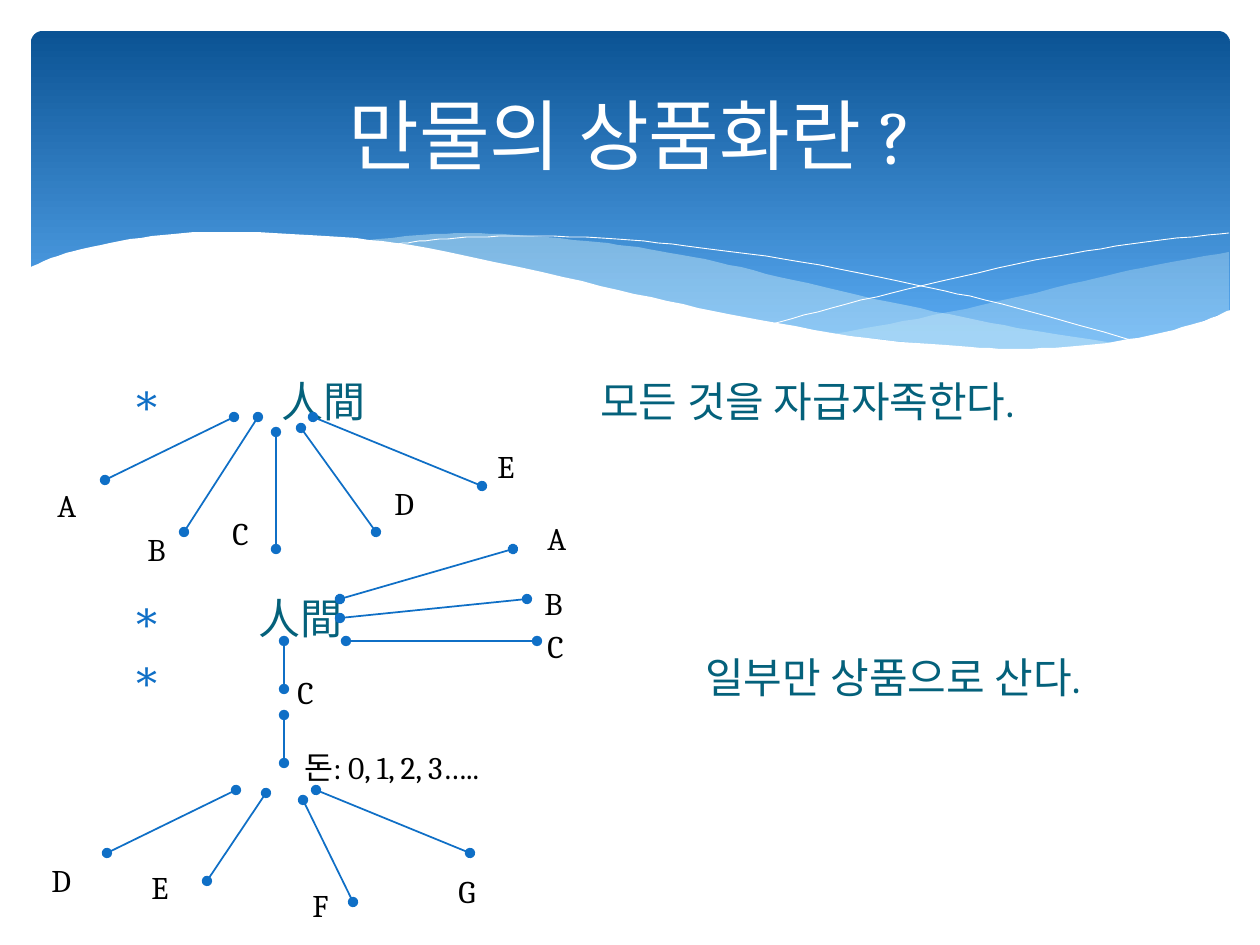
"""Build the slide on the commodification of all things."""
import pptx
import pptx.dml.color
import pptx.enum.shapes
import pptx.enum.text
import pptx.oxml
import pptx.oxml.ns
import pptx.util
import lxml.etree

RGB = pptx.dml.color.RGBColor
WHITE = RGB(0xFF, 0xFF, 0xFF)
BLACK = RGB(0, 0, 0)
NAVY = RGB(0x0B, 0x53, 0x94)
SKY = RGB(0x59, 0xAA, 0xF2)
PALE = RGB(0xDB, 0xF5, 0xF9)
BLUE = RGB(0x0F, 0x6F, 0xC6)
TEAL = RGB(0x04, 0x61, 0x7B)
FONT = "Cambria"
PX = 9144000 / 1260
qn = pptx.oxml.ns.qn


def spline(keys, steps=6):
    """Return points on a smooth curve through the keys."""
    k = [keys[0], *keys, keys[-1]]
    pts = [keys[0]]
    for a, b, c, d in zip(k, k[1:], k[2:], k[3:]):
        for i in range(1, steps + 1):
            t = i / steps
            pts.append(tuple(
                (2 * q + (r - p) * t + (2 * p - 5 * q + 4 * r - s) * t ** 2
                 + (3 * q - p - 3 * r + s) * t ** 3) / 2
                for p, q, r, s in zip(a, b, c, d)))
    return pts


def add_run(p, text, size, color):
    """Add one formatted run to a paragraph."""
    r = p.add_run()
    r.text = text
    r.font.size = pptx.util.Pt(size)
    r.font.name = FONT
    r.font.color.rgb = color


prs = pptx.Presentation()
prs.slide_width = pptx.util.Inches(10)
prs.slide_height = pptx.util.Inches(7.5)
s = prs.slides.add_slide(prs.slide_layouts[5])

banner = s.shapes.add_shape(pptx.enum.shapes.MSO_SHAPE.ROUNDED_RECTANGLE,
                            *[round(v * PX) for v in (31, 31, 1199, 341)])
banner.adjustments[0] = 0.034
banner.shadow.inherit = False
banner.line.fill.background()
banner.fill.gradient()
banner.fill.gradient_angle = 270
for stop, color, pos in zip(banner.fill.gradient_stops, (NAVY, SKY), (0, 0.9)):
    stop.color.rgb = color
    stop.position = pos

right_wave = (
    spline([(1229, 252), (1142, 268), (1085, 281), (982, 305), (890, 324), (833, 334)])
    + spline([(833, 334), (906, 342), (969, 348), (1026, 350), (1087, 347),
              (1140, 339), (1187, 327), (1229, 311)]))
left_wave = (
    spline([(1125, 344), (1055, 334), (977, 320), (890, 302), (793, 280), (717, 262),
            (648, 249), (586, 241), (503, 234), (433, 234), (360, 241)])
    + spline([(360, 241), (431, 251), (509, 266), (566, 280), (668, 302), (757, 321),
              (838, 335), (910, 345), (974, 349), (1031, 350), (1080, 349), (1125, 344)]))
falling_line = spline([(389, 246), (413, 242), (457, 238), (524, 236), (616, 239),
                       (701, 248), (801, 262), (916, 285), (1002, 304), (1143, 343)])
rising_line = spline([(772, 324), (847, 304), (942, 281), (1053, 257), (1146, 242),
                      (1229, 233)])
white_wave = spline([(29, 268), (66, 253), (120, 241), (184, 233), (243, 232), (341, 237),
                     (428, 248), (563, 277), (667, 301), (760, 320), (867, 338),
                     (959, 346), (1019, 349), (1087, 345), (1147, 336), (1197, 323),
                     (1231, 310)]) + [(1231, 414), (29, 414)]

for pts, color, alpha in [(right_wave, PALE, 29), (left_wave, PALE, 40),
                          (falling_line, None, None), (rising_line, None, None),
                          (white_wave, WHITE, 100)]:
    fb = s.shapes.build_freeform(*pts[0], scale=PX)
    fb.add_line_segments(pts[1:], close=color is not None)
    sp = fb.convert_to_shape()
    sp.shadow.inherit = False
    if color is None:
        sp.fill.background()
        sp.line.color.rgb = WHITE
        sp.line.width = pptx.util.Pt(0.5)
    else:
        sp.line.fill.background()
        sp.fill.solid()
        sp.fill.fore_color.rgb = color
        clr = sp.fill._xPr.find(".//" + qn("a:srgbClr"))
        lxml.etree.SubElement(clr, qn("a:alpha"), val=str(alpha * 1000))

title = s.shapes.title
title.left, title.top, title.width, title.height = [
    round(v * PX) for v in (63, 47, 1134, 173)]
s.shapes._spTree.append(title._element)
title.text_frame.vertical_anchor = pptx.enum.text.MSO_ANCHOR.MIDDLE
p = title.text_frame.paragraphs[0]
p.alignment = pptx.enum.text.PP_ALIGN.CENTER
add_run(p, "만물의 상품화란 ?", 44, WHITE)

body = s.shapes.add_textbox(*[round(v * PX) for v in (120, 369, 1020, 475)])
tf = body.text_frame
tf.word_wrap = True
for i, (text, indent, before) in enumerate([
        ("人間\t모든 것을 자급자족한다.", 149, 4.8),
        ("人間", 126, 95.4),
        ("일부만 상품으로 산다.", 573, 4.8)]):
    p = tf.paragraphs[0] if i == 0 else tf.add_paragraph()
    p.space_before = pptx.util.Pt(before)
    add_run(p, text, 24, TEAL)
    pPr = p._p.get_or_add_pPr()
    pPr.set("marL", str(round(indent * PX)))
    pPr.set("indent", str(round(-indent * PX)))
    clr = lxml.etree.SubElement(pPr, qn("a:buClr"))
    lxml.etree.SubElement(clr, qn("a:srgbClr"), val=str(BLUE))
    lxml.etree.SubElement(pPr, qn("a:buFont"), typeface=FONT)
    lxml.etree.SubElement(pPr, qn("a:buChar"), char="∗")
    if "\t" in text:
        tabs = lxml.etree.SubElement(pPr, qn("a:tabLst"))
        lxml.etree.SubElement(tabs, qn("a:tab"), pos=str(round(468 * PX)), algn="l")

for ends in [
        (234, 417, 105, 480), (313, 417, 482, 486), (301, 428, 376, 532),
        (258, 417, 184, 532), (276, 432, 276, 549),
        (513, 549, 340, 599), (527, 599, 340, 618), (537, 641, 346, 641),
        (284, 641, 284, 689), (284, 715, 284, 763),
        (236, 790, 107, 853), (316, 790, 470, 853), (303, 800, 353, 902),
        (266, 793, 207, 881)]:
    cx = s.shapes.add_connector(pptx.enum.shapes.MSO_CONNECTOR.STRAIGHT,
                                *[round(v * PX) for v in ends])
    cx.line.color.rgb = BLUE
    cx.line.width = pptx.util.Pt(1)
    ln = cx.line._get_or_add_ln()
    for tag in ("a:headEnd", "a:tailEnd"):
        lxml.etree.SubElement(ln, qn(tag), type="oval")
    lxml.etree.SubElement(cx._element.spPr, qn("a:effectLst"))

for text, x, y, w in [
        ("A", 45, 480, 54), ("B", 135, 524, 54), ("C", 220, 508, 54),
        ("D", 382, 478, 54), ("E", 485, 441, 54),
        ("A", 535, 513, 54), ("C", 535, 621, 54), ("B", 532, 578, 54),
        ("C", 285, 667, 54), ("돈: 0, 1, 2, 3…..", 292, 742, 226),
        ("D", 39, 855, 54), ("E", 139, 862, 54), ("F", 300, 880, 54),
        ("G", 446, 866, 54)]:
    label = s.shapes.add_textbox(*[round(v * PX) for v in (x, y, w, 50)])
    label.text_frame.word_wrap = True
    add_run(label.text_frame.paragraphs[0], text, 18, BLACK)

prs.save("out.pptx")
